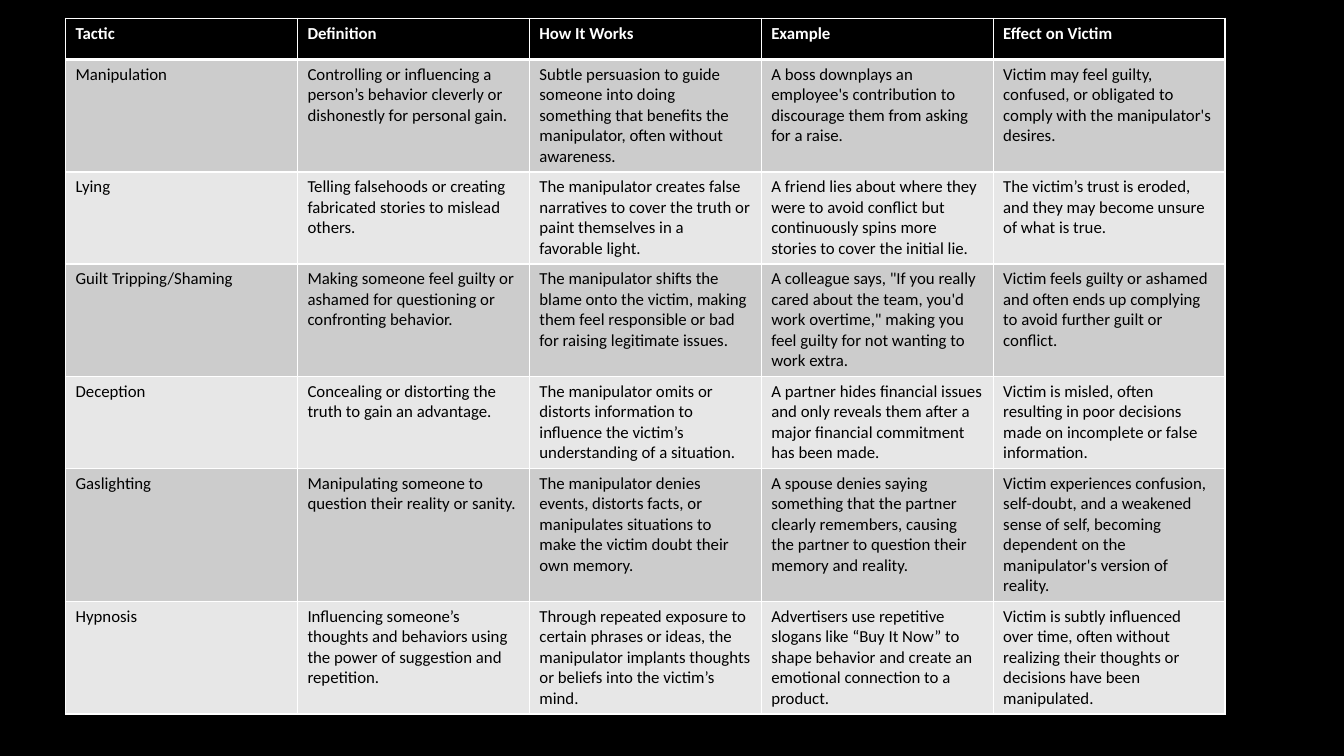
from lxml import etree
from pptx import Presentation
from pptx.dml.color import RGBColor
from pptx.oxml import ns
from pptx.util import Inches, Pt

HEADINGS = ["Tactic", "Definition", "How It Works", "Example", "Effect on Victim"]
TACTICS = [
    ("Manipulation",
     "Controlling or influencing a person’s behavior cleverly or dishonestly for personal gain.",
     "Subtle persuasion to guide someone into doing something that benefits the manipulator, often without awareness.",
     "A boss downplays an employee's contribution to discourage them from asking for a raise.",
     "Victim may feel guilty, confused, or obligated to comply with the manipulator's desires."),
    ("Lying",
     "Telling falsehoods or creating fabricated stories to mislead others.",
     "The manipulator creates false narratives to cover the truth or paint themselves in a favorable light.",
     "A friend lies about where they were to avoid conflict but continuously spins more stories to cover the initial lie.",
     "The victim’s trust is eroded, and they may become unsure of what is true."),
    ("Guilt Tripping/Shaming",
     "Making someone feel guilty or ashamed for questioning or confronting behavior.",
     "The manipulator shifts the blame onto the victim, making them feel responsible or bad for raising legitimate issues.",
     "A colleague says, \"If you really cared about the team, you'd work overtime,\" making you feel guilty for not wanting to work extra.",
     "Victim feels guilty or ashamed and often ends up complying to avoid further guilt or conflict."),
    ("Deception",
     "Concealing or distorting the truth to gain an advantage.",
     "The manipulator omits or distorts information to influence the victim’s understanding of a situation.",
     "A partner hides financial issues and only reveals them after a major financial commitment has been made.",
     "Victim is misled, often resulting in poor decisions made on incomplete or false information."),
    ("Gaslighting",
     "Manipulating someone to question their reality or sanity.",
     "The manipulator denies events, distorts facts, or manipulates situations to make the victim doubt their own memory.",
     "A spouse denies saying something that the partner clearly remembers, causing the partner to question their memory and reality.",
     "Victim experiences confusion, self-doubt, and a weakened sense of self, becoming dependent on the manipulator's version of reality."),
    ("Hypnosis",
     "Influencing someone’s thoughts and behaviors using the power of suggestion and repetition.",
     "Through repeated exposure to certain phrases or ideas, the manipulator implants thoughts or beliefs into the victim’s mind.",
     "Advertisers use repetitive slogans like “Buy It Now” to shape behavior and create an emotional connection to a product.",
     "Victim is subtly influenced over time, often without realizing their thoughts or decisions have been manipulated."),
]

COLORS = {"black": "000000", "white": "FFFFFF", "dark band": "CCCCCC", "light band": "E7E7E7"}
LEFT, TOP, COLUMN_WIDTH, ROW_HEIGHT = 0.65, 0.18, 2.3, 0.41
THIN, THICK = 1, 3


def rgb(name):
    return RGBColor.from_string(COLORS[name])


def set_borders(cell, widths):
    """Draw white cell borders; widths maps a side (L, R, T, B) to points."""
    properties = cell._tc.get_or_add_tcPr()
    for side, width in widths.items():
        line = etree.SubElement(properties, ns.qn(f"a:ln{side}"), w=str(Pt(width)))
        fill = etree.SubElement(line, ns.qn("a:solidFill"))
        etree.SubElement(fill, ns.qn("a:srgbClr"), val=COLORS["white"])


def format_cell(cell, words, row):
    is_heading = row == 0
    set_borders(cell, {"L": THIN, "R": THIN,
                       "T": THICK if row == 1 else THIN,
                       "B": THICK if is_heading else THIN})
    band = "dark band" if row % 2 else "light band"
    cell.fill.solid()
    cell.fill.fore_color.rgb = rgb("black" if is_heading else band)
    cell.text = words
    font = cell.text_frame.paragraphs[0].runs[0].font
    for name, value in {"name": "Calibri", "size": Pt(12), "bold": is_heading}.items():
        setattr(font, name, value)
    font.color.rgb = rgb("white" if is_heading else "black")


def main():
    presentation = Presentation()
    presentation.slide_width, presentation.slide_height = Inches(13.33), Inches(7.5)
    slide = presentation.slides.add_slide(presentation.slide_layouts[6])
    slide.background.fill.solid()
    slide.background.fill.fore_color.rgb = rgb("black")

    rows = [HEADINGS, *TACTICS]
    table = slide.shapes.add_table(
        len(rows), len(HEADINGS), Inches(LEFT), Inches(TOP),
        Inches(COLUMN_WIDTH * len(HEADINGS)), Inches(ROW_HEIGHT * len(rows))).table
    for row, entries in enumerate(rows):
        for column, words in enumerate(entries):
            format_cell(table.cell(row, column), words, row)
    presentation.save("out.pptx")


if __name__ == "__main__":
    main()
